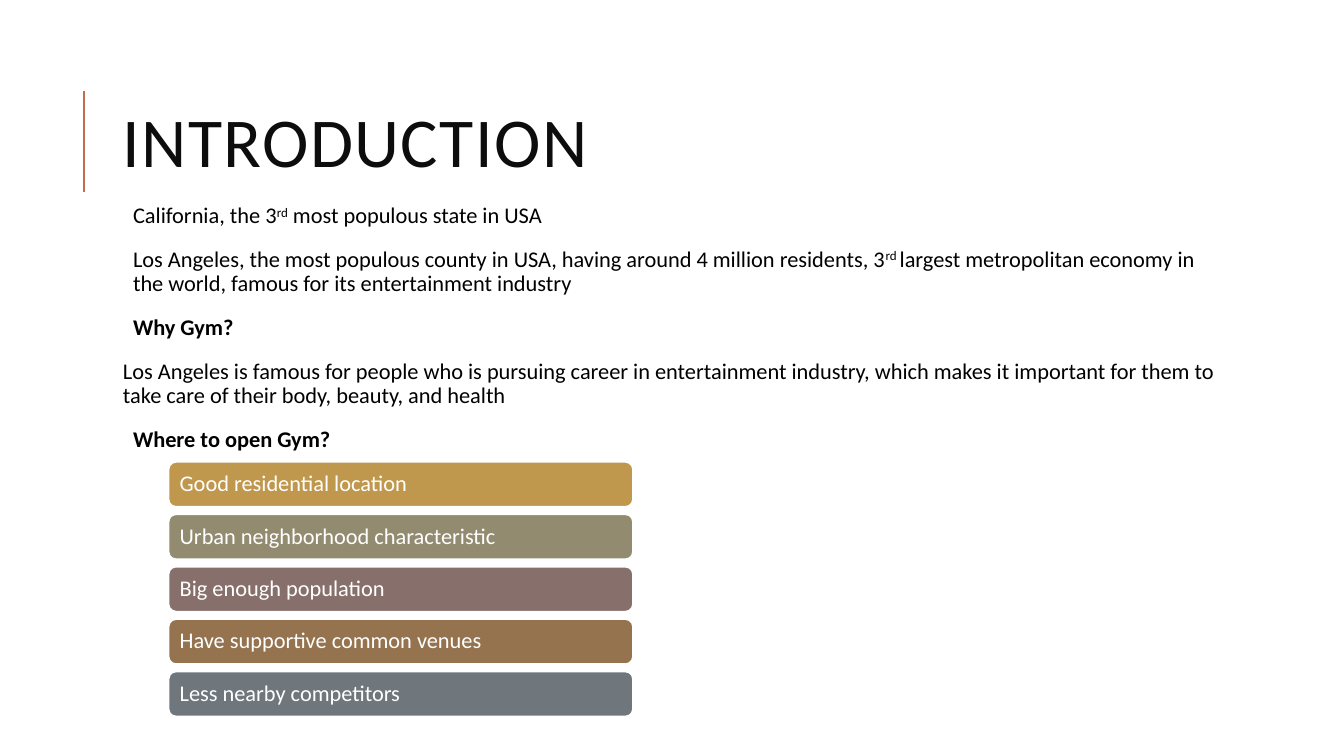
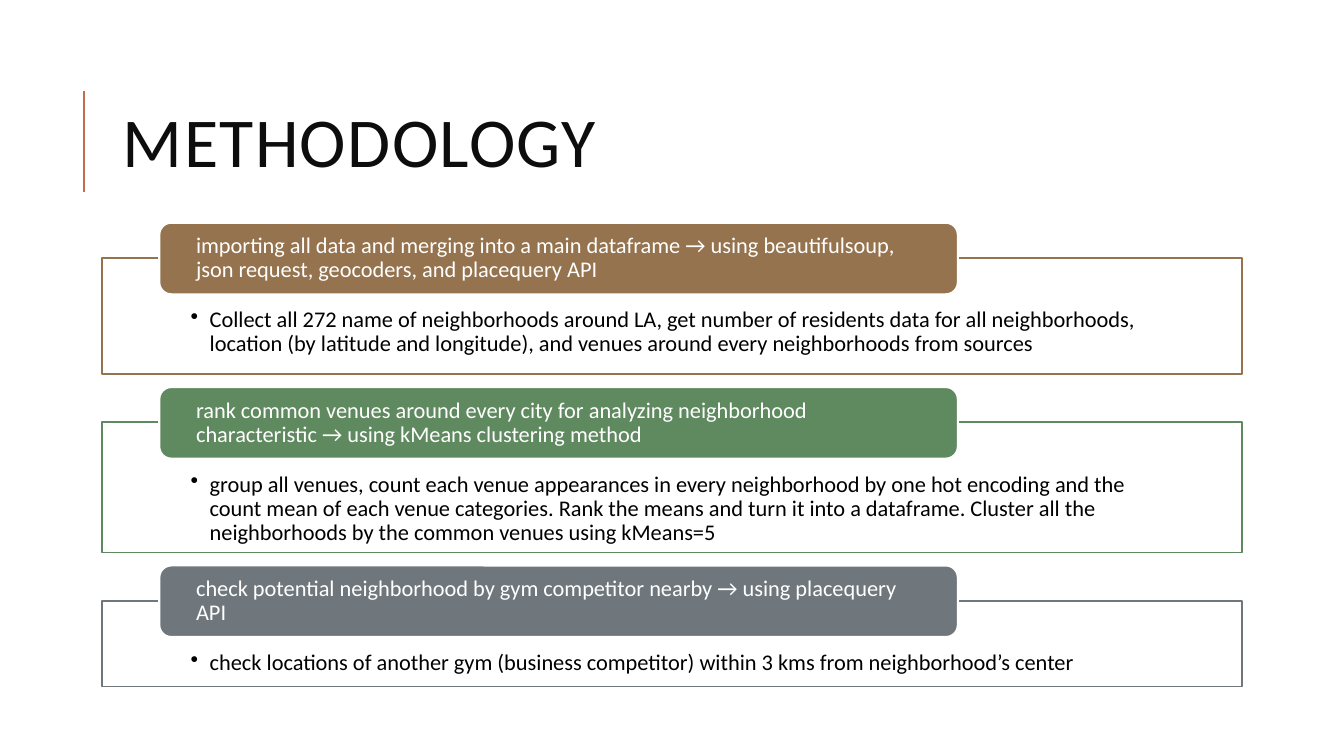
from dataclasses import dataclass

from lxml.etree import SubElement
from pptx import Presentation
from pptx.dml.color import RGBColor
from pptx.enum.shapes import MSO_CONNECTOR as CONNECTOR
from pptx.enum.shapes import MSO_SHAPE as SHAPE
from pptx.enum.text import MSO_ANCHOR as ANCHOR
from pptx.enum.text import PP_ALIGN as ALIGN
from pptx.oxml.ns import qn
from pptx.util import Inches, Pt


@dataclass(frozen=True)
class Theme:
    font: str = "Calibri"
    title_size: int = 50
    body_size: int = 16
    line_spacing: float = 0.9
    title: str = "0D0D0D"
    text: str = "000000"
    white: str = "FFFFFF"
    accent: str = "C66951"
    gold: str = "BF974D"
    olive: str = "928B70"
    mauve: str = "87706B"
    brown: str = "94734E"
    green: str = "5F895E"
    slate: str = "6F777D"


THEME = Theme()

# Each paragraph: (indent, runs); each run: (text, style)
INTRO = [
    (0.1, [("California, the 3", ""), ("rd", "super"),
           (" most populous state in USA", "")]),
    (0.1, [("Los Angeles, the most populous county in USA, having around "
            "4 million residents, 3", ""), ("rd ", "super"),
           ("largest metropolitan economy in the world, famous for its "
            "entertainment industry", "")]),
    (0.1, [("Why Gym?", "bold")]),
    (0, [("Los Angeles is famous for people who is pursuing career in "
          "entertainment industry, which makes it important for them to take "
          "care of their body, beauty, and health", "")]),
    (0.1, [("Where to open Gym?", "bold")]),
]

CRITERIA = [
    ("Good residential location", THEME.gold),
    ("Urban neighborhood characteristic", THEME.olive),
    ("Big enough population", THEME.mauve),
    ("Have supportive common venues", THEME.brown),
    ("Less nearby competitors", THEME.slate),
]

# Each step: heading, detail, colour, height of the detail box
STEPS = [
    ("importing all data and merging into a main dataframe → using "
     "beautifulsoup, json request, geocoders, and placequery API",
     "Collect all 272 name of neighborhoods around LA, get number of residents "
     "data for all neighborhoods, location (by latitude and longitude), and "
     "venues around every neighborhoods from sources", THEME.brown, 1.15),
    ("rank common venues around every city for analyzing neighborhood "
     "characteristic → using kMeans clustering method",
     "group all venues, count each venue appearances in every neighborhood by "
     "one hot encoding and the count mean of each venue categories. Rank the "
     "means and turn it into a dataframe. Cluster all the neighborhoods by the "
     "common venues using kMeans=5", THEME.green, 1.29),
    ("check potential neighborhood by gym competitor nearby → using "
     "placequery API",
     "check locations of another gym (business competitor) within 3 kms from "
     "neighborhood’s center", THEME.slate, 0.85),
]


def rgb(value):
    return RGBColor.from_string(value)


def set_frame(s, insets, anchor):
    """Wrap the text of a shape; insets are left, top, right, bottom."""
    tf = s.text_frame
    tf.word_wrap = True
    tf.vertical_anchor = anchor
    (tf.margin_left, tf.margin_top,
     tf.margin_right, tf.margin_bottom) = map(Inches, insets)
    return tf


def add_text_box(slide, box, insets, anchor=ANCHOR.TOP):
    return set_frame(slide.shapes.add_textbox(*map(Inches, box)), insets, anchor)


def add_run(p, text, color, size=THEME.body_size, style=""):
    r = p.add_run()
    r.text = text
    r.font.name = THEME.font
    r.font.size = Pt(size)
    r.font.color.rgb = rgb(color)
    r.font.bold = style == "bold"
    if style == "super":
        r._r.get_or_add_rPr().set("baseline", "30000")
    return r


def set_bullet(p, indent):
    pPr = p._p.get_or_add_pPr()
    pPr.set("marL", str(Inches(indent)))
    pPr.set("indent", str(-Inches(indent)))
    SubElement(pPr, qn("a:buChar")).set("char", "•")


def add_panel(slide, kind, box, fill, line, line_width, text, color,
              insets, anchor=ANCHOR.MIDDLE, bullet=0):
    """Draw a filled shape holding one left-aligned paragraph."""
    s = slide.shapes.add_shape(kind, *map(Inches, box))
    s.shadow.inherit = False
    s.fill.solid()
    s.fill.fore_color.rgb = rgb(fill)
    s.line.color.rgb = rgb(line)
    s.line.width = Pt(line_width)
    p = set_frame(s, insets, anchor).paragraphs[0]
    if bullet:
        set_bullet(p, bullet)
    p.alignment = ALIGN.LEFT
    p.line_spacing = THEME.line_spacing
    add_run(p, text, color)


def add_pill(slide, box, fill, text, insets):
    add_panel(slide, SHAPE.ROUNDED_RECTANGLE, box, fill, THEME.white, 1.5,
              text, THEME.white, insets)


def add_titled_slide(prs, title):
    slide = prs.slides.add_slide(prs.slide_layouts[6])
    rule = slide.shapes.add_connector(
        CONNECTOR.STRAIGHT, *map(Inches, (0.83, 1.9, 0.83, 0.9)))
    rule.line.color.rgb = rgb(THEME.accent)
    rule.line.width = Pt(1.5)
    SubElement(rule._element.spPr, qn("a:effectLst"))

    tf = add_text_box(slide, (1.12, 0.64, 10.63, 1.64),
                      (0.1, 0.05, 0.1, 0.05), ANCHOR.MIDDLE)
    p = tf.paragraphs[0]
    p.line_spacing = 0.8
    r = add_run(p, title, THEME.title, THEME.title_size)
    r._r.get_or_add_rPr().set("spc", "100")
    return slide


def add_body(slide, box, paragraphs):
    tf = add_text_box(slide, box, (0.05,) * 4)
    for i, (indent, runs) in enumerate(paragraphs):
        p = tf.add_paragraph() if i else tf.paragraphs[0]
        p._p.get_or_add_pPr().set("marL", str(Inches(indent)))
        p.line_spacing = THEME.line_spacing
        p.space_before = Pt(12 if i else 0)
        p.space_after = Pt(2)
        for text, style in runs:
            add_run(p, text, THEME.text, style=style)


def add_criteria(slide, top, pitch):
    for i, (text, color) in enumerate(CRITERIA):
        add_pill(slide, (1.67, top + i * pitch, 4.61, 0.45), color, text,
                 (0.09, 0.07, 0.09, 0.07))


def add_steps(slide, top, rise, gap):
    """Stack the steps; each heading rises above the top of its detail box."""
    for heading, detail, color, height in STEPS:
        add_panel(slide, SHAPE.RECTANGLE, (1.01, top + rise, 11.31, height),
                  THEME.white, color, 1.25, detail, THEME.text,
                  (0.88, 0.5, 0.88, 0.12), ANCHOR.TOP, bullet=0.19)
        add_pill(slide, (1.58, top, 7.92, 0.71), color, heading,
                 (0.33, 0, 0.33, 0))
        top += rise + height + gap


def main():
    prs = Presentation()
    prs.slide_width, prs.slide_height = Inches(13.33), Inches(7.5)

    intro = add_titled_slide(prs, "INTRODUCTION")
    add_body(intro, (1.17, 1.98, 11, 2.74), INTRO)
    add_criteria(intro, top=4.58, pitch=0.52)

    methodology = add_titled_slide(prs, "METHODOLOGY")
    add_steps(methodology, top=2.21, rise=0.35, gap=0.13)

    prs.save("out.pptx")


if __name__ == "__main__":
    main()
